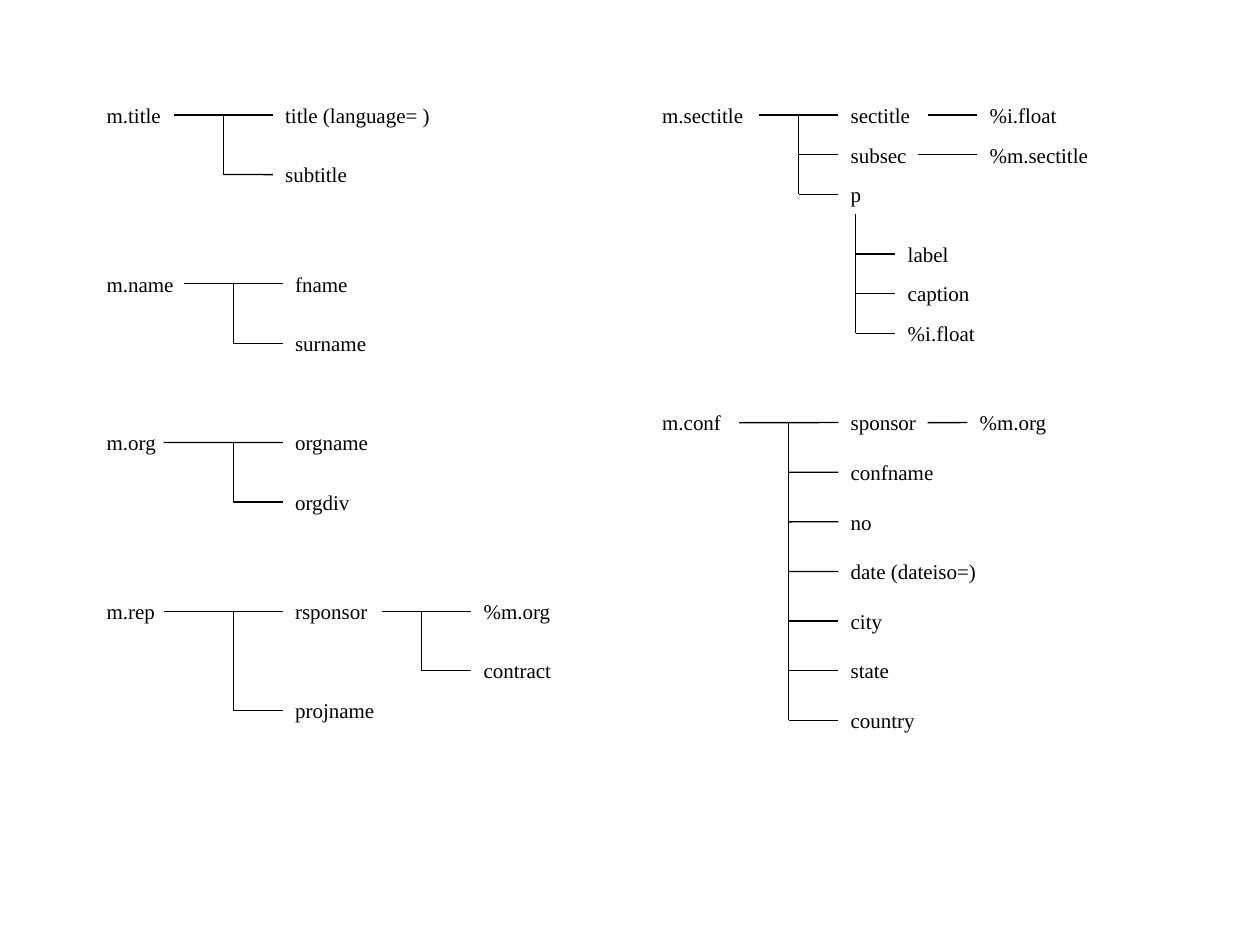
from dataclasses import dataclass

from lxml.etree import SubElement
from pptx import Presentation
from pptx.dml.color import RGBColor
from pptx.enum.shapes import MSO_CONNECTOR
from pptx.enum.text import MSO_AUTO_SIZE, PP_ALIGN
from pptx.oxml.ns import qn
from pptx.util import Cm, Pt

BLACK = RGBColor(0x00, 0x00, 0x00)
FONT = "Times New Roman"
BOX_H = 0.76
HANG = 0.4  # gap below a label before a trunk that hangs from it


@dataclass(frozen=True)
class Node:
    """An element label; drop is its distance below its parent, in cm."""
    text: str
    width: float
    drop: float = 0
    start: float = 0
    trunk: float = 0
    child_x: float = 0
    children: tuple["Node", ...] = ()


@dataclass(frozen=True)
class Tree:
    x: float
    y: float
    root: Node


CONF_PARTS = [("confname", 2.6), ("no", 1.6), ("date (dateiso=)", 3.8),
              ("city", 3.8), ("state", 3.8), ("country", 3.8)]

TREES = [
    Tree(1.9, 2.32, Node("m.title", 1.8, 0, 3.5, 4.5, 5.5, (
        Node("title (language= )", 3.8),
        Node("subtitle", 3.8, 1.2)))),
    Tree(1.9, 5.72, Node("m.name", 2, 0, 3.7, 4.7, 5.7, (
        Node("fname", 3.8),
        Node("surname", 3.8, 1.2)))),
    Tree(1.9, 8.92, Node("m.org", 2, 0, 3.3, 4.7, 5.7, (
        Node("orgname", 3.8),
        Node("orgdiv", 3.8, 1.2)))),
    Tree(1.9, 12.32, Node("m.rep", 2, 0, 3.3, 4.7, 5.7, (
        Node("rsponsor", 2.2, 0, 7.7, 8.5, 9.5, (
            Node("%m.org", 2.4),
            Node("contract", 2.4, 1.2))),
        Node("projname", 2.4, 2)))),
    Tree(13.1, 2.32, Node("m.sectitle", 2.2, 0, 15.3, 16.1, 16.9, (
        Node("sectitle", 2.4, 0, 18.7, 0, 19.7, (Node("%i.float", 2.4),)),
        Node("subsec", 2.4, 0.8, 18.5, 0, 19.7, (Node("%m.sectitle", 2.6),)),
        Node("p", 1, 1.6, 0, 17.25, 18.05, (
            Node("label", 1.4, 1.2),
            Node("caption", 2.4, 2),
            Node("%i.float", 2.4, 2.8)))))),
    Tree(13.1, 8.52, Node("m.conf", 2, 0, 14.9, 15.9, 16.9, (
        Node("sponsor", 3.8, 0, 18.7, 0, 19.5, (Node("%m.org", 2.4),)),
        *(Node(text, width, row)
          for row, (text, width) in enumerate(CONF_PARTS, 1))))),
]


def add_label(shapes, node: Node, x: float, y: float):
    """Add the label vertically centred on y."""
    sp = shapes.add_textbox(Cm(x), Cm(y - BOX_H / 2), Cm(node.width), Cm(BOX_H))
    tf = sp.text_frame
    tf.word_wrap = True
    tf.auto_size = MSO_AUTO_SIZE.SHAPE_TO_FIT_TEXT
    tf.text = node.text
    p = tf.paragraphs[0]
    p.alignment = PP_ALIGN.LEFT
    font = p.runs[0].font
    font.name, font.size = FONT, Pt(12)
    font.color.rgb = BLACK
    return sp


def add_line(shapes, x1: float, y1: float, x2: float, y2: float):
    line = shapes.add_connector(MSO_CONNECTOR.STRAIGHT,
                                Cm(x1), Cm(y1), Cm(x2), Cm(y2))
    line.line.color.rgb = BLACK
    line.line.width = Pt(0.75)
    SubElement(line._element.spPr, qn("a:effectLst"))
    return line


def draw_node(shapes, node: Node, x: float, y: float):
    """Draw a label with everything that branches from it."""
    box = add_label(shapes, node, x, y)
    for child in node.children:
        child_y = y + child.drop
        child_box = draw_node(shapes, child, node.child_x, child_y)
        left = node.trunk if child.drop else node.start
        line = add_line(shapes, left, child_y, node.child_x, child_y)
        line.end_connect(child_box, 1)
        if not child.drop and abs(x + node.width - left) < 0.01:
            line.begin_connect(box, 3)
    if len(node.children) > 1:
        top = y + HANG if node.children[0].drop else y
        add_line(shapes, node.trunk, top,
                 node.trunk, y + node.children[-1].drop)
    return box


def main() -> None:
    prs = Presentation()
    prs.slide_width, prs.slide_height = Cm(25.4), Cm(19.05)
    s = prs.slides.add_slide(prs.slide_layouts[6])
    for tree in TREES:
        draw_node(s.shapes, tree.root, tree.x, tree.y)
    prs.save("out.pptx")


if __name__ == "__main__":
    main()
